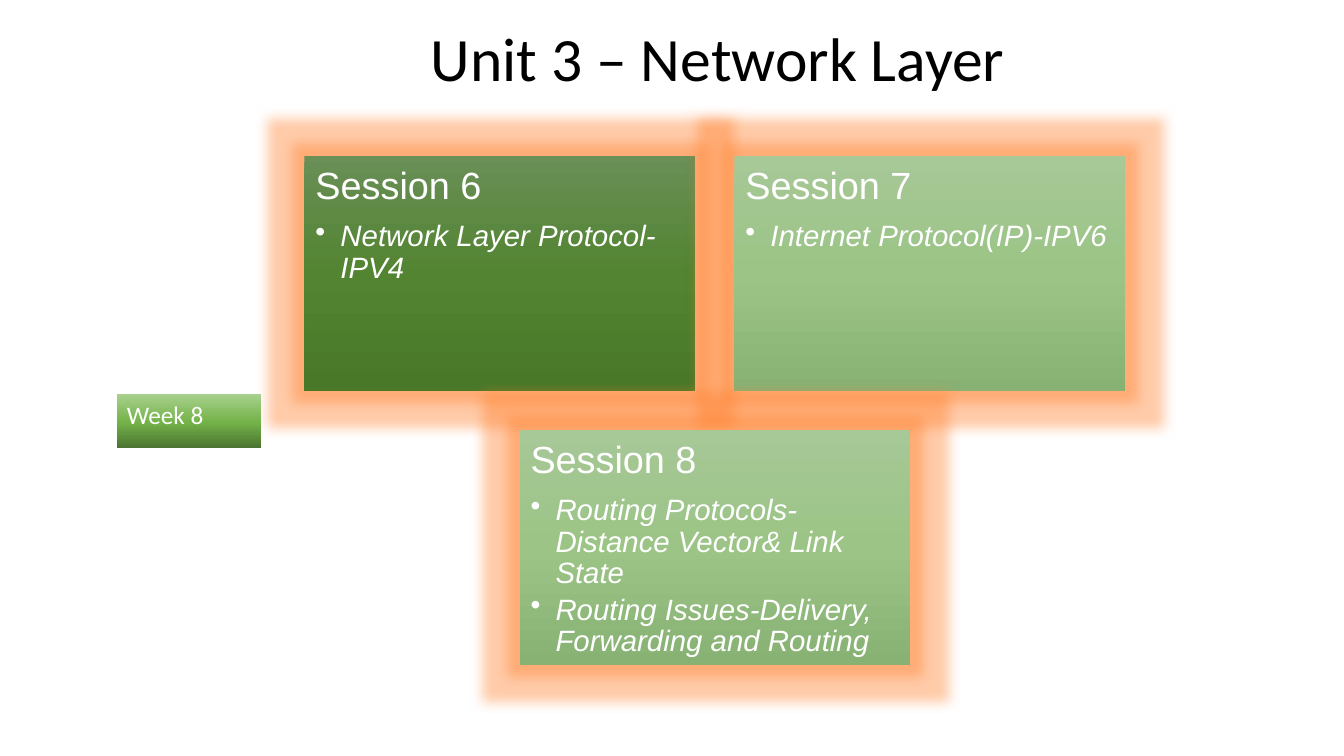
from lxml.etree import SubElement
from pptx import Presentation
from pptx.dml.color import RGBColor
from pptx.enum.shapes import MSO_SHAPE
from pptx.enum.text import MSO_ANCHOR, PP_ALIGN
from pptx.oxml import parse_xml
from pptx.oxml.ns import nsdecls, qn
from pptx.util import Emu, Pt

TITLE = "Unit 3 – Network Layer"
WEEK = "Week 8"
SESSION_ROWS = [
    [
        ("Session 6", ["Network Layer Protocol-IPV4"], "dark"),
        ("Session 7", ["Internet Protocol(IP)-IPV6"], "light"),
    ],
    [
        ("Session 8", ["Routing Protocols- Distance Vector& Link State",
                       "Routing Issues-Delivery, Forwarding and Routing"], "light"),
    ],
]

THEME = {
    "title": ("Calibri", 44, "000000"),
    "week": ("Calibri", 18, "FFFFFF"),
    "heading": ("Arial", 27, "FFFFFF"),
    "topic": ("Arial", 21, "FFFFFF"),
    "gradients": {
        "dark": [(0, "6A8F57"), (50, "528431"), (100, "487828")],
        "light": [(0, "A7C897"), (50, "9BC486"), (100, "88B174")],
        "week": [(0, "A9D18E"), (52, "74B349"), (100, "4B7430")],
    },
    "glow": "FF7F2A",
}

# Lengths in px
SLIDE_SIZE = (1344, 756)
TITLE_BOX = (402, 16, 632, 91)
WEEK_BOX = (117, 394, 144, 54)
CARD_W, CARD_H, GAP = 391, 235, 39
CARDS_CENTER, CARDS_TOP = 715, 156
INSET, BULLET_INDENT, GLOW_RADIUS = 11, 25, 25


def px(length):
    return Emu(round(length * 914400 / 100.8))


def add_text(paragraph, text, style, italic=None):
    run = paragraph.add_run()
    run.text = text
    family, size, color = THEME[style]
    run.font.name = family
    run.font.size = Pt(size)
    run.font.italic = italic
    run.font.color.rgb = RGBColor.from_string(color)


def add_gradient_box(slide, box, gradient):
    shape = slide.shapes.add_shape(MSO_SHAPE.RECTANGLE, *map(px, box))
    shape.shadow.inherit = False
    shape.line.fill.background()
    stops = "".join(
        f'<a:gs pos="{position * 1000}"><a:srgbClr val="{color}"/></a:gs>'
        for position, color in THEME["gradients"][gradient])
    fill = parse_xml(
        f'<a:gradFill {nsdecls("a")} rotWithShape="1"><a:gsLst>{stops}</a:gsLst>'
        '<a:lin ang="5400000" scaled="0"/></a:gradFill>')
    shape._element.spPr.find(qn("a:prstGeom")).addnext(fill)
    shape.text_frame.vertical_anchor = MSO_ANCHOR.TOP
    shape.text_frame.paragraphs[0].alignment = PP_ALIGN.LEFT
    return shape


def add_glow(shape):
    effects = shape._element.spPr.find(qn("a:effectLst"))
    glow = SubElement(effects, qn("a:glow"), rad=str(px(GLOW_RADIUS)))
    color = SubElement(glow, qn("a:srgbClr"), val=THEME["glow"])
    SubElement(color, qn("a:alpha"), val="40000")


def add_bullet(paragraph):
    properties = paragraph._p.get_or_add_pPr()
    properties.set("marL", str(px(BULLET_INDENT)))
    properties.set("indent", str(-px(BULLET_INDENT)))
    SubElement(properties, qn("a:buChar"), char="•")


def add_session(slide, left, top, session):
    heading, topics, gradient = session
    card = add_gradient_box(slide, (left, top, CARD_W, CARD_H), gradient)
    add_glow(card)
    frame = card.text_frame
    frame.word_wrap = True
    frame.margin_left = frame.margin_right = px(INSET)
    frame.margin_top = frame.margin_bottom = px(INSET)
    first = frame.paragraphs[0]
    first.line_spacing = 0.9
    first.space_after = Pt(9.45)
    add_text(first, heading, "heading")
    for topic in topics:
        paragraph = frame.add_paragraph()
        paragraph.alignment = PP_ALIGN.LEFT
        paragraph.level = 1
        add_bullet(paragraph)
        paragraph.line_spacing = 0.9
        paragraph.space_after = Pt(3.15)
        add_text(paragraph, topic, "topic", italic=True)


def main():
    presentation = Presentation()
    presentation.slide_width, presentation.slide_height = map(px, SLIDE_SIZE)
    slide = presentation.slides.add_slide(presentation.slide_layouts[6])

    title = slide.shapes.add_textbox(*map(px, TITLE_BOX)).text_frame
    title.word_wrap = True
    title.vertical_anchor = MSO_ANCHOR.MIDDLE
    title.paragraphs[0].alignment = PP_ALIGN.CENTER
    title.paragraphs[0].line_spacing = 0.9
    add_text(title.paragraphs[0], TITLE, "title")

    for row, sessions in enumerate(SESSION_ROWS):
        row_width = len(sessions) * (CARD_W + GAP) - GAP
        for column, session in enumerate(sessions):
            left = CARDS_CENTER - row_width / 2 + column * (CARD_W + GAP)
            add_session(slide, left, CARDS_TOP + row * (CARD_H + GAP), session)

    week = add_gradient_box(slide, WEEK_BOX, "week").text_frame
    week.word_wrap = False
    add_text(week.paragraphs[0], WEEK, "week")

    presentation.save("out.pptx")


if __name__ == "__main__":
    main()
